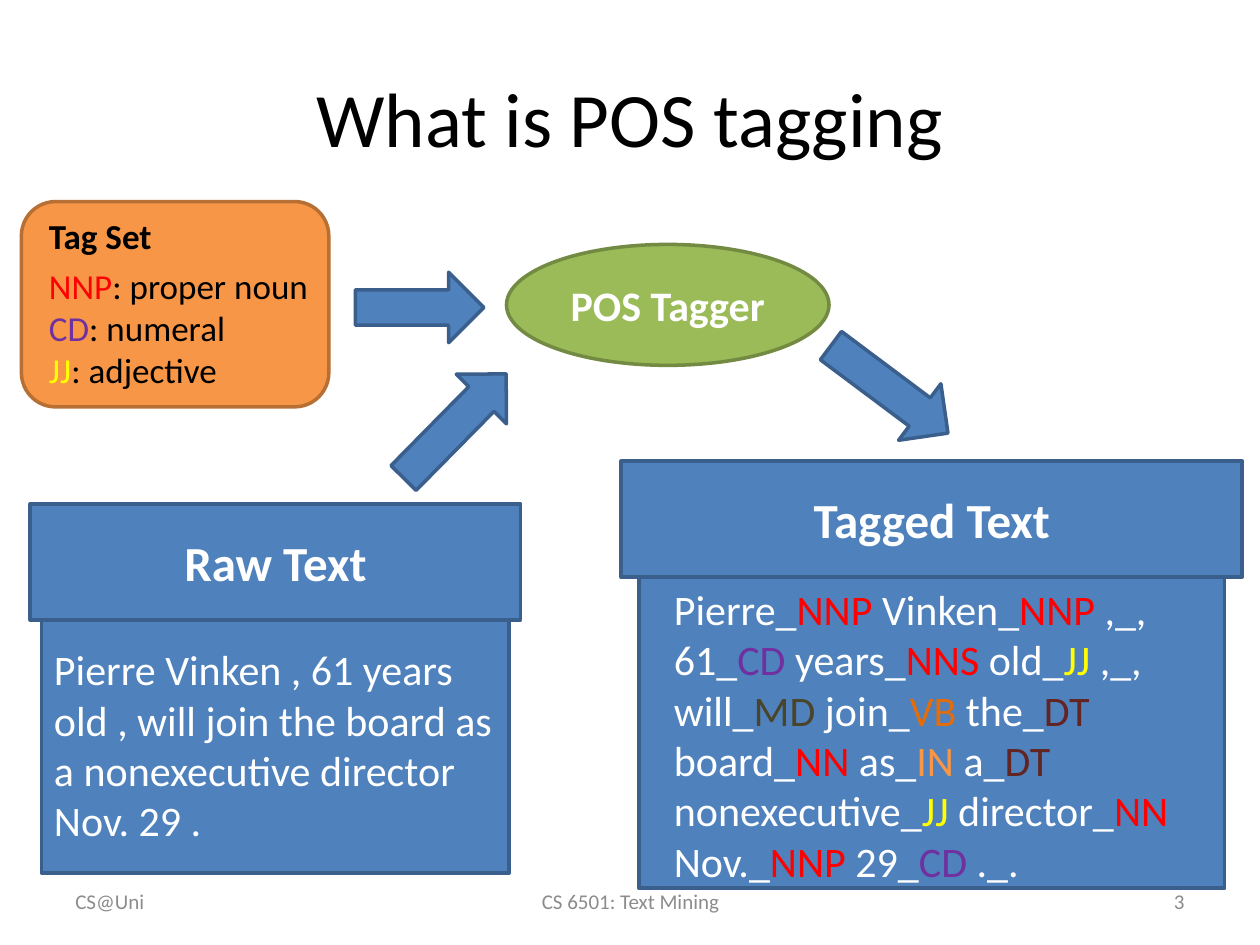
from pptx import Presentation
from pptx.dml.color import RGBColor
from pptx.enum import shapes, text
from pptx.util import Inches, Pt

COLORS = {
    "black": "000000", "white": "FFFFFF", "grey": "8C8C8C",
    "blue": "4F81BD", "blue_edge": "3A5F8C",
    "green": "9BBB59", "green_edge": "738A42",
    "orange": "F79646", "orange_edge": "B76F34",
    "red": "FF0000", "purple": "7030A0", "yellow": "FFFF00",
    "olive": "4A452A", "rust": "E46C0A", "maroon": "632523",
}
TAG_COLORS = {
    "NNP": "red", "NNS": "red", "NN": "red", "CD": "purple", "JJ": "yellow",
    "MD": "olive", "VB": "rust", "DT": "maroon", "IN": "orange",
}
LEFT, CENTER, RIGHT = text.PP_ALIGN.LEFT, text.PP_ALIGN.CENTER, text.PP_ALIGN.RIGHT
TOP, MIDDLE = text.MSO_ANCHOR.TOP, text.MSO_ANCHOR.MIDDLE
KINDS = shapes.MSO_SHAPE

deck = Presentation()
deck.slide_width, deck.slide_height = Inches(10), Inches(7.5)
page = deck.slides.add_slide(deck.slide_layouts[5])


def write(box, lines, size, bold=False, align=LEFT, anchor=TOP):
    """Fill a box; each line is a list of (words, colour name) runs."""
    frame = box.text_frame
    frame.word_wrap = True
    frame.vertical_anchor = anchor
    for number, runs in enumerate(lines):
        para = frame.add_paragraph() if number else frame.paragraphs[0]
        para.alignment = align
        for words, color in runs:
            span = para.add_run()
            span.text = words
            span.font.name = "Calibri"
            span.font.size = Pt(size)
            span.font.bold = bold
            span.font.color.rgb = RGBColor.from_string(COLORS[color])


def draw(kind, place, color, rotation=0):
    """Add a filled, outlined preset shape."""
    shape = page.shapes.add_shape(kind, *map(Inches, place))
    shape.shadow.inherit = False
    shape.rotation = rotation
    shape.fill.solid()
    shape.fill.fore_color.rgb = RGBColor.from_string(COLORS[color])
    shape.line.color.rgb = RGBColor.from_string(COLORS[color + "_edge"])
    shape.line.width = Pt(2)
    return shape


# Title
title = page.shapes.title
title.left, title.top, title.width, title.height = map(Inches, (0.5, 0.3, 9, 1.25))
write(title, [[("What is POS tagging", "black")]], 44, align=CENTER, anchor=MIDDLE)

# Text for the two panels; the tagged words are coloured by tag
raw_runs = [("Pierre Vinken , 61 years old , will join the board as "
             "a nonexecutive director Nov. 29 .", "white")]
tagged_text = ("Pierre_NNP Vinken_NNP ,_, 61_CD years_NNS old_JJ ,_, will_MD "
               "join_VB the_DT board_NN as_IN a_DT nonexecutive_JJ "
               "director_NN Nov._NNP 29_CD ._.")
tagged_runs = []
tokens = tagged_text.split()
for number, token in enumerate(tokens, 1):
    word, tag = token.split("_")
    gap = " " if number < len(tokens) else ""
    tagged_runs += [(word + "_", "white"), (tag + gap, TAG_COLORS.get(tag, "white"))]

# Panels: body, header bar, running text
panels = [
    ("Raw Text", (0.33, 4.11, 3.71, 2.82), (0.24, 4, 3.89, 0.92),
     (0.33, 5.06, 3.81, 1.72), raw_runs),
    ("Tagged Text", (5.07, 4.23, 4.65, 2.82), (4.93, 3.66, 4.93, 0.92),
     (5.25, 4.58, 4.37, 2.52), tagged_runs),
]
for heading, body_place, header_place, text_place, runs in panels:
    draw(KINDS.RECTANGLE, body_place, "blue")
    header = draw(KINDS.RECTANGLE, header_place, "blue")
    write(header, [[(heading, "white")]], 28, True, CENTER, MIDDLE)
    write(page.shapes.add_textbox(*map(Inches, text_place)), [runs], 24)

# Tagger
tagger = draw(KINDS.OVAL, (4.02, 1.94, 2.56, 0.96), "green")
write(tagger, [[("POS Tagger", "white")]], 24, True, CENTER, MIDDLE)

# Tag set
draw(KINDS.ROUNDED_RECTANGLE, (0.17, 1.6, 2.44, 1.63), "orange")
tag_heading = page.shapes.add_textbox(*map(Inches, (0.29, 1.65, 1.45, 0.44)))
write(tag_heading, [[("Tag Set", "black")]], 20, True)
tag_list = page.shapes.add_textbox(*map(Inches, (0.29, 2.05, 2.88, 1.11)))
meanings = [("NNP", "proper noun"), ("CD", "numeral"), ("JJ", "adjective")]
write(tag_list, [[(tag, TAG_COLORS[tag]), (": " + meaning, "black")]
                 for tag, meaning in meanings], 20)

# Block arrows: tag set to tagger, raw text to tagger, tagger to tagged text
for left, top, length, rotation in [(3.05, 1.93, 1.02, 270),
                                    (3.33, 2.8, 1.16, 224.6),
                                    (6.78, 2.51, 1.16, 306.8)]:
    draw(KINDS.DOWN_ARROW, (left, top, 0.56, length), "blue", rotation)

# Footer
for words, left, width, align in [("CS@Uni", 0.5, 2.33, LEFT),
                                  ("CS 6501: Text Mining", 3.42, 3.17, CENTER),
                                  ("3", 7.17, 2.33, RIGHT)]:
    footer = page.shapes.add_textbox(*map(Inches, (left, 6.95, width, 0.4)))
    write(footer, [[(words, "grey")]], 12, align=align, anchor=MIDDLE)

deck.save("out.pptx")
